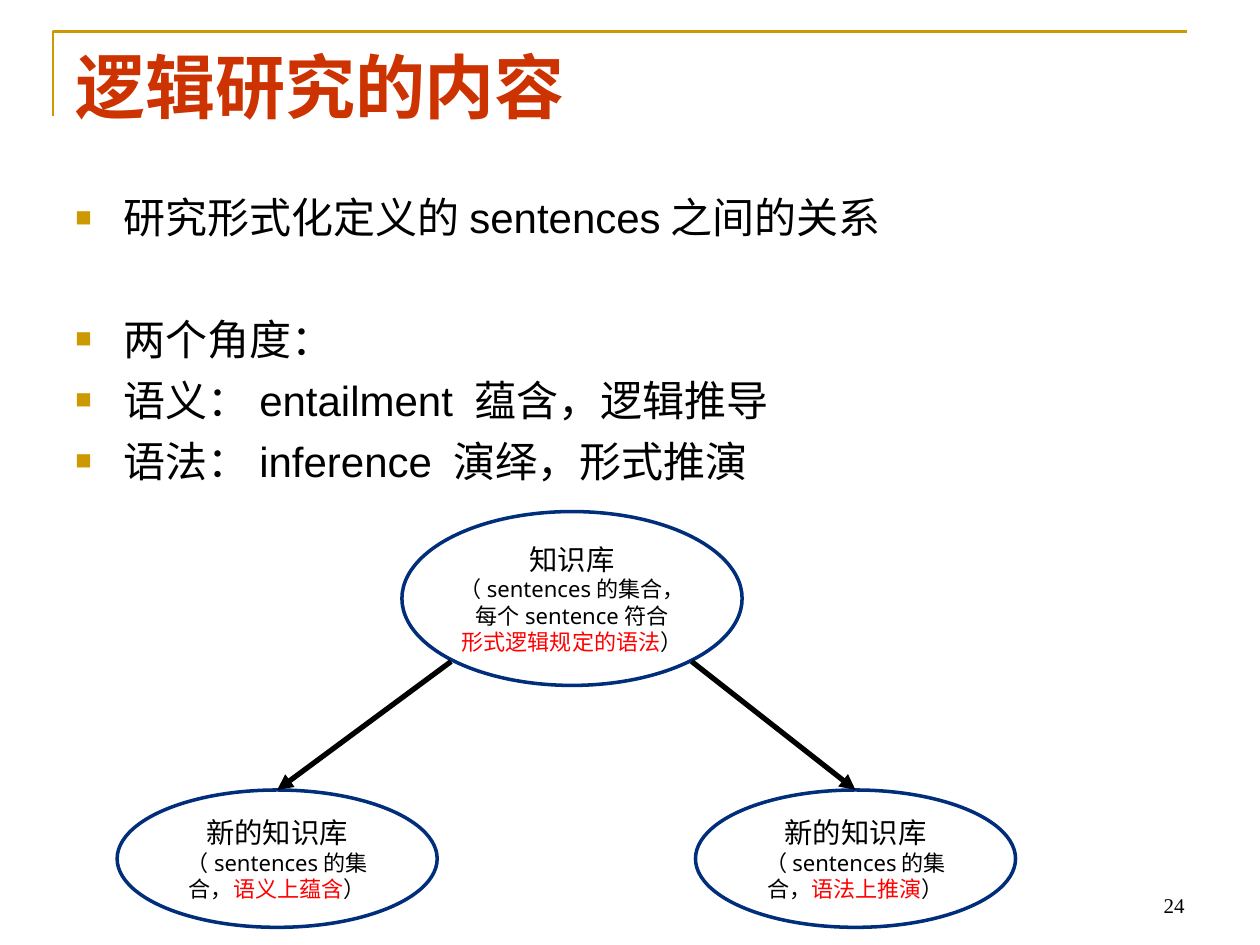
from dataclasses import dataclass
from lxml.etree import SubElement
from pptx import Presentation
from pptx.dml.color import RGBColor
from pptx.enum.shapes import MSO_CONNECTOR, MSO_SHAPE
from pptx.enum.text import MSO_ANCHOR, PP_ALIGN
from pptx.oxml.ns import qn
from pptx.util import Pt

PX = 9144  # 100 px to the inch
HAN = "Noto Sans CJK SC"
COLORS = {"gold": "CC9900", "title": "CC3300", "ink": "000000",
          "red": "FF0000", "navy": "002E7A"}


@dataclass
class Style:
    size: float
    font: str
    color: str = "ink"
    bold: bool = False


@dataclass
class Oval:
    box: tuple[int, int, int, int]
    inset: int
    head: str
    lines: list[list[tuple[str, str]]]


@dataclass
class Arrow:
    start: tuple[int, int]
    goal: int  # index of the oval it points to


HEAD = Style(40, HAN, "title", True)
BODY = Style(24, "Arial")
PAGE = Style(12, "Times New Roman")

# Text and gap before each bullet, in points
POINTS = [
    ("研究形式化定义的sentences之间的关系", 0),
    ("两个角度：", 40.8),
    ("语义：entailment 蕴含，逻辑推导", 6),
    ("语法：inference 演绎，形式推演", 6),
]


def new_base(left: int, topic: str) -> Oval:
    return Oval((left, 627, 254, 109), 12, "新的知识库",
                [[("（sentences的集合，", "ink"), (topic, "red"), ("）", "ink")]])


OVALS = [
    Oval((319, 406, 270, 138), 4, "知识库",
         [[("（sentences的集合，每个sentence符合", "ink")],
          [("形式逻辑规定的语法", "red"), ("）", "ink")]]),
    new_base(93, "语义上蕴含"),
    new_base(552, "语法上推演"),
]
ARROWS = [Arrow((358, 525), 1), Arrow((549, 525), 2)]


def paint(color: str) -> RGBColor:
    return RGBColor.from_string(COLORS[color])


def scale(*values: int) -> list[int]:
    return [value * PX for value in values]


def add_run(para, text: str, style: Style) -> None:
    run = para.add_run()
    run.text = text
    font = run.font
    font.size, font.name, font.bold = Pt(style.size), style.font, style.bold
    font.color.rgb = paint(style.color)
    SubElement(font._element, qn("a:ea"), typeface=HAN)


def add_box(slide, box: tuple[int, int, int, int], anchor=MSO_ANCHOR.TOP):
    frame = slide.shapes.add_textbox(*scale(*box)).text_frame
    frame.word_wrap = True
    frame.vertical_anchor = anchor
    return frame


def next_para(frame, first: bool):
    return frame.paragraphs[0] if first else frame.add_paragraph()


def add_mark(para) -> None:
    props = para._p.get_or_add_pPr()
    props.set("marL", str(38 * PX))
    props.set("indent", str(-38 * PX))
    tint = SubElement(props, qn("a:buClr"))
    SubElement(tint, qn("a:srgbClr"), val=COLORS["gold"])
    SubElement(props, qn("a:buSzPct"), val="65000")
    SubElement(props, qn("a:buFont"), typeface="Arial")
    SubElement(props, qn("a:buChar"), char="■")


def draw_frame(slide) -> None:
    pen = slide.shapes.build_freeform(42, 92, scale=PX)
    pen.add_line_segments([(42, 25), (942, 25)], close=False)
    shape = pen.convert_to_shape()
    shape.shadow.inherit = False
    shape.fill.background()
    shape.line.color.rgb = paint("gold")
    shape.line.width = Pt(1.5)


def draw_oval(slide, oval: Oval):
    shape = slide.shapes.add_shape(MSO_SHAPE.OVAL, *scale(*oval.box))
    shape.shadow.inherit = False
    shape.fill.background()
    shape.line.color.rgb = paint("navy")
    shape.line.width = Pt(2)
    frame = shape.text_frame
    frame.word_wrap = True
    frame.vertical_anchor = MSO_ANCHOR.MIDDLE
    frame.margin_left = frame.margin_right = oval.inset * PX
    frame.margin_top = frame.margin_bottom = 4 * PX
    for row, line in enumerate([[(oval.head, "ink")], *oval.lines]):
        para = next_para(frame, row == 0)
        para.alignment = PP_ALIGN.CENTER
        for text, color in line:
            add_run(para, text, Style(12.6 if row else 16.2, "Noto Sans", color))
    return shape


def draw_arrow(slide, arrow: Arrow, goal) -> None:
    start = scale(*arrow.start)
    link = slide.shapes.add_connector(MSO_CONNECTOR.STRAIGHT, *start, *start)
    link.end_connect(goal, 0)
    link.line.color.rgb = paint("ink")
    link.line.width = Pt(3)
    SubElement(link.line._get_or_add_ln(), qn("a:tailEnd"), type="triangle")
    SubElement(link._element.spPr, qn("a:effectLst"))


def main() -> None:
    deck = Presentation()
    deck.slide_width, deck.slide_height = scale(1000, 750)
    slide = deck.slides.add_slide(deck.slide_layouts[6])

    # Corner rule and title
    draw_frame(slide)
    para = add_box(slide, (50, 30, 900, 125)).paragraphs[0]
    add_run(para, "逻辑研究的内容", HEAD)

    # Bullets
    frame = add_box(slide, (50, 147, 900, 250))
    for row, (text, gap) in enumerate(POINTS):
        para = next_para(frame, row == 0)
        add_mark(para)
        if gap:
            para.space_before = Pt(gap)
        add_run(para, text, BODY)

    # Knowledge bases and the arrows between them
    shapes = [draw_oval(slide, oval) for oval in OVALS]
    for arrow in ARROWS:
        draw_arrow(slide, arrow, shapes[arrow.goal])

    # Page number
    para = add_box(slide, (717, 683, 233, 50), MSO_ANCHOR.BOTTOM).paragraphs[0]
    para.alignment = PP_ALIGN.RIGHT
    add_run(para, "24", PAGE)

    deck.save("out.pptx")


if __name__ == "__main__":
    main()
